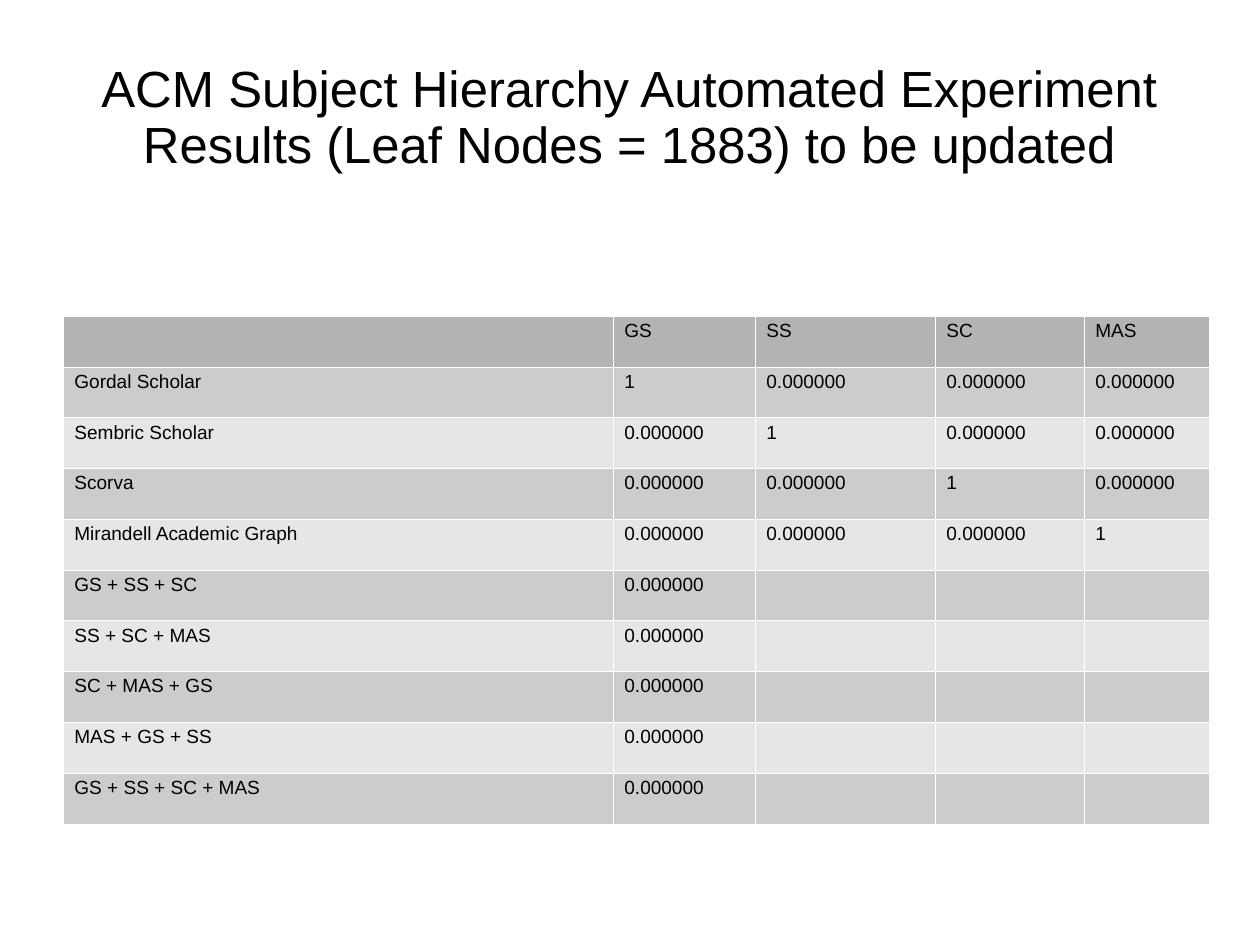
from dataclasses import dataclass

from lxml import etree
from pptx import Presentation
from pptx import util as u
from pptx.dml.color import RGBColor
from pptx.enum import text as tx
from pptx.oxml.ns import qn

PX = 8000
HUES = {"ink": "000000", "head": "B3B3B3", "odd": "CCCCCC",
        "even": "E6E6E6", "rule": "FFFFFF"}
TITLE = "ACM Subject Hierarchy Automated Experiment Results (Leaf Nodes = 1883) to be updated"
ZERO = "0.000000"
WIDTHS = [550, 142, 180, 149, 125]
HEIGHT = 508


@dataclass
class Source:
    code: str
    name: str


@dataclass
class Row:
    cells: list[str]
    hue: str


SOURCES = [
    Source("GS", "Gordal Scholar"),
    Source("SS", "Sembric Scholar"),
    Source("SC", "Scorva"),
    Source("MAS", "Mirandell Academic Graph"),
]


def px(n: int) -> u.Emu:
    return u.Emu(n * PX)


def write(frame, words: str, size: int = 12, align=tx.PP_ALIGN.LEFT) -> None:
    par = frame.paragraphs[0]
    par.alignment = align
    par.line_spacing = 0.93
    run = par.add_run()
    run.text = words
    run.font.size = u.Pt(size)
    run.font.name = "Arial"
    run.font.color.rgb = RGBColor.from_string(HUES["ink"])


def border(cell) -> None:
    props = cell._tc.get_or_add_tcPr()
    for side in ("lnL", "lnR", "lnT", "lnB"):
        line = etree.SubElement(props, qn(f"a:{side}"), w="762")
        fill = etree.SubElement(line, qn("a:solidFill"))
        etree.SubElement(fill, qn("a:srgbClr"), val=HUES["rule"])


def make_rows() -> list[Row]:
    """Header, one row per source, then the combined sources."""
    codes = [s.code for s in SOURCES]
    count = len(codes)
    body = [[s.name] + ["1" if s.code == c else ZERO for c in codes]
            for s in SOURCES]
    groups = [[codes[(i + k) % count] for k in range(3)] for i in range(count)]
    body += [[" + ".join(g), ZERO, "", "", ""] for g in groups + [codes]]
    rows = [Row(["", *codes], "head")]
    return rows + [Row(c, "even" if i % 2 else "odd") for i, c in enumerate(body)]


def add_title(slide) -> None:
    title = slide.shapes.title
    title.left, title.top, title.width, title.height = map(px, (63, -1, 1134, 234))
    frame = title.text_frame
    frame.auto_size = tx.MSO_AUTO_SIZE.NONE
    frame.word_wrap = True
    frame.vertical_anchor = tx.MSO_ANCHOR.MIDDLE
    frame.margin_left = frame.margin_right = frame.margin_bottom = 0
    frame.margin_top = px(5)
    write(frame, TITLE, size=32, align=tx.PP_ALIGN.CENTER)


def add_grid(slide, rows: list[Row]) -> None:
    grid = slide.shapes.add_table(len(rows), len(WIDTHS), px(63), px(316),
                                  px(sum(WIDTHS)), px(HEIGHT)).table
    grid.first_row = grid.horz_banding = False
    for col, width in zip(grid.columns, WIDTHS):
        col.width = px(width)
    for line, row in zip(grid.rows, rows):
        line.height = px(HEIGHT) // len(rows)
        for cell, words in zip(line.cells, row.cells):
            border(cell)
            cell.fill.solid()
            cell.fill.fore_color.rgb = RGBColor.from_string(HUES[row.hue])
            if words:
                write(cell.text_frame, words)


def main() -> None:
    deck = Presentation()
    deck.slide_width, deck.slide_height = px(1260), px(945)
    slide = deck.slides.add_slide(deck.slide_layouts[5])
    add_title(slide)
    add_grid(slide, make_rows())
    deck.save("out.pptx")


if __name__ == "__main__":
    main()
